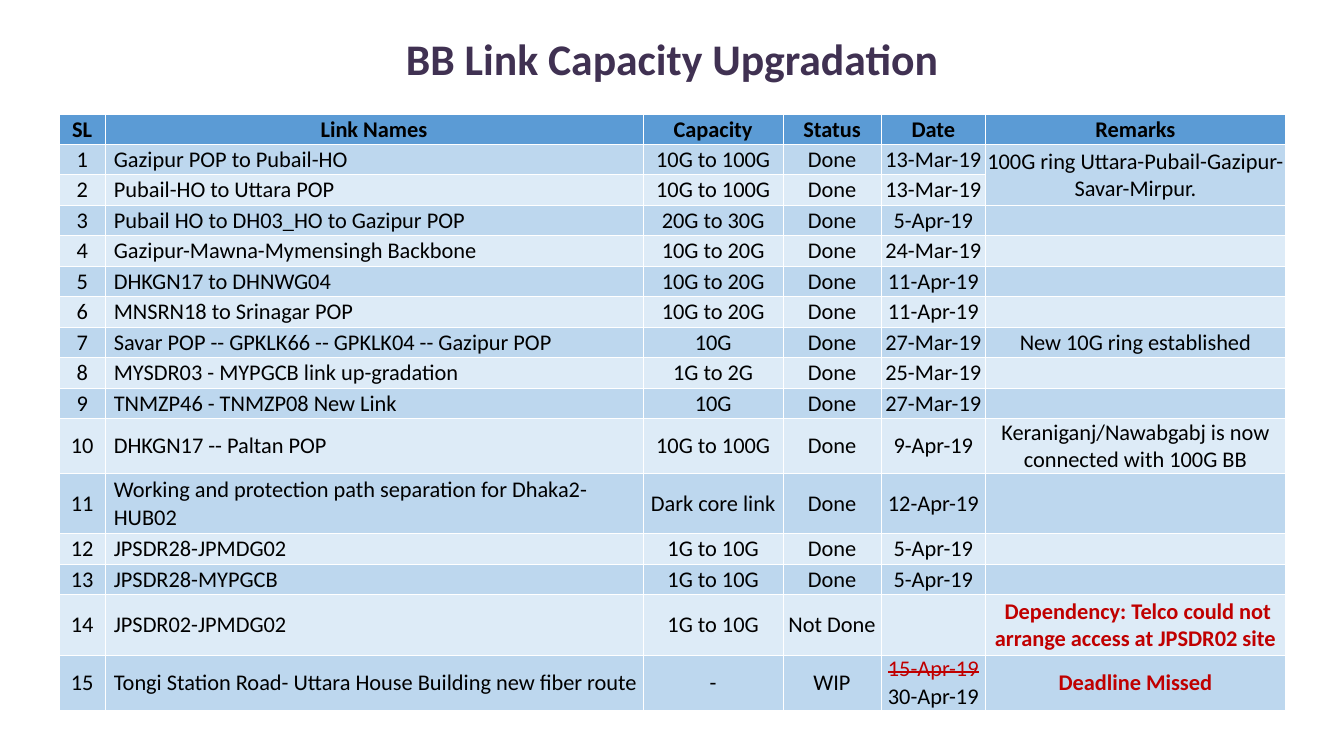
from lxml.etree import SubElement
from pptx import Presentation
from pptx.dml.color import RGBColor
from pptx.enum.text import MSO_ANCHOR, PP_ALIGN
from pptx.oxml.ns import qn
from pptx.util import Pt

SCALE = 4762.5
COLORS = {
    "title": "403152",
    "text": "000000",
    "alert": "C00000",
    "head": "5B9BD5",
    "odd": "BDD7EE",
    "even": "DDEBF7",
    "line": "FFFFFF",
}
WIDTHS = [87, 1025, 267, 186, 200, 570]
HEIGHTS = [58] * 10 + [105, 115, 58, 58, 115, 105]
HEAD = ["SL", "Link Names", "Capacity", "Status", "Date", "Remarks"]
LINKS = [
    ("Gazipur POP to Pubail-HO", "10G to 100G", "Done", "13-Mar-19",
     "100G ring Uttara-Pubail-Gazipur-Savar-Mirpur."),
    ("Pubail-HO to Uttara POP", "10G to 100G", "Done", "13-Mar-19", ""),
    ("Pubail HO to DH03_HO to Gazipur POP", "20G to 30G", "Done", "5-Apr-19", ""),
    ("Gazipur-Mawna-Mymensingh Backbone", "10G to 20G", "Done", "24-Mar-19", ""),
    ("DHKGN17 to DHNWG04", "10G to 20G", "Done", "11-Apr-19", ""),
    ("MNSRN18 to Srinagar POP", "10G to 20G", "Done", "11-Apr-19", ""),
    ("Savar POP -- GPKLK66 -- GPKLK04 -- Gazipur POP", "10G", "Done", "27-Mar-19",
     "New 10G ring established"),
    ("MYSDR03 - MYPGCB link up-gradation", "1G to 2G", "Done", "25-Mar-19", ""),
    ("TNMZP46 - TNMZP08 New Link", "10G", "Done", "27-Mar-19", ""),
    ("DHKGN17 -- Paltan POP", "10G to 100G", "Done", "9-Apr-19",
     "Keraniganj/Nawabgabj is now connected with 100G BB"),
    ("Working and protection path separation for Dhaka2-HUB02", "Dark core link",
     "Done", "12-Apr-19", ""),
    ("JPSDR28-JPMDG02", "1G to 10G", "Done", "5-Apr-19", ""),
    ("JPSDR28-MYPGCB", "1G to 10G", "Done", "5-Apr-19", ""),
    ("JPSDR02-JPMDG02", "1G to 10G", "Not Done", "",
     " Dependency: Telco could not arrange access at JPSDR02 site"),
    ("Tongi Station Road- Uttara House Building new fiber route", "-", "WIP",
     "15-Apr-19\n30-Apr-19", "Deadline Missed"),
]


def px(count):
    return round(count * SCALE)


def color(name):
    return RGBColor.from_string(COLORS[name])


class Deck:
    face = "Calibri"
    size = 16

    def __init__(self, wide, high):
        self.file = Presentation()
        self.file.slide_width = px(wide)
        self.file.slide_height = px(high)
        self.slide = self.file.slides.add_slide(self.file.slide_layouts[6])

    def style(self, line, size, tone, bold, align=PP_ALIGN.CENTER):
        line.alignment = align
        font = line.font
        font.name = self.face
        font.size = Pt(size)
        font.bold = bold
        font.color.rgb = color(tone)

    def title(self, text, left, top, wide, high):
        box = self.slide.shapes.add_textbox(px(left), px(top), px(wide), px(high))
        box.text_frame.word_wrap = True
        box.text_frame.text = text
        self.style(box.text_frame.paragraphs[0], 31.2, "title", True)

    def border(self, cell):
        props = cell._tc.get_or_add_tcPr()
        for side in ("lnL", "lnR", "lnT", "lnB"):
            edge = SubElement(props, qn("a:" + side), w=str(Pt(0.5)))
            fill = SubElement(edge, qn("a:solidFill"))
            SubElement(fill, qn("a:srgbClr"), val=COLORS["line"])

    def cell(self, cell, text, fill, bold=False, left=False):
        self.border(cell)
        cell.fill.solid()
        cell.fill.fore_color.rgb = color(fill)
        cell.vertical_anchor = MSO_ANCHOR.MIDDLE
        cell.margin_left = px(17 if left else 1)
        cell.margin_right = cell.margin_top = px(1)
        cell.margin_bottom = 0
        cell.text_frame.text = text
        align = PP_ALIGN.LEFT if left else PP_ALIGN.CENTER
        for line in cell.text_frame.paragraphs:
            self.style(line, self.size, "text", bold, align)
            if not text:
                SubElement(line._p, qn("a:endParaRPr"), sz=str(self.size * 100))

    def table(self, head, rows, left, top, wides, highs):
        frame = self.slide.shapes.add_table(
            len(highs), len(wides), px(left), px(top), px(sum(wides)), px(sum(highs)))
        grid = frame.table
        grid.first_row = grid.horz_banding = False
        for column, wide in zip(grid.columns, wides):
            column.width = px(wide)
        for row, high in zip(grid.rows, highs):
            row.height = px(high)
        for col, text in enumerate(head):
            self.cell(grid.cell(0, col), text, "head", bold=True)
        for num, row in enumerate(rows, 1):
            fill = "odd" if num % 2 else "even"
            for col, text in enumerate((str(num), *row)):
                self.cell(grid.cell(num, col), text, fill, left=col == 1)
        return grid

    def alert(self, cell, bold=True, strike=False):
        line = cell.text_frame.paragraphs[0]
        self.style(line, self.size, "alert", bold)
        if strike:
            line.runs[0].font._element.set("strike", "sngStrike")


def main():
    deck = Deck(2560, 1440)
    deck.title("BB Link Capacity Upgradation", 380, 52, 1801, 121)
    grid = deck.table(HEAD, LINKS, 113, 217, WIDTHS, HEIGHTS)
    grid.cell(1, 5).merge(grid.cell(2, 5))
    deck.alert(grid.cell(14, 5))
    deck.alert(grid.cell(15, 5))
    deck.alert(grid.cell(15, 4), bold=False, strike=True)
    deck.file.save("out.pptx")


if __name__ == "__main__":
    main()
